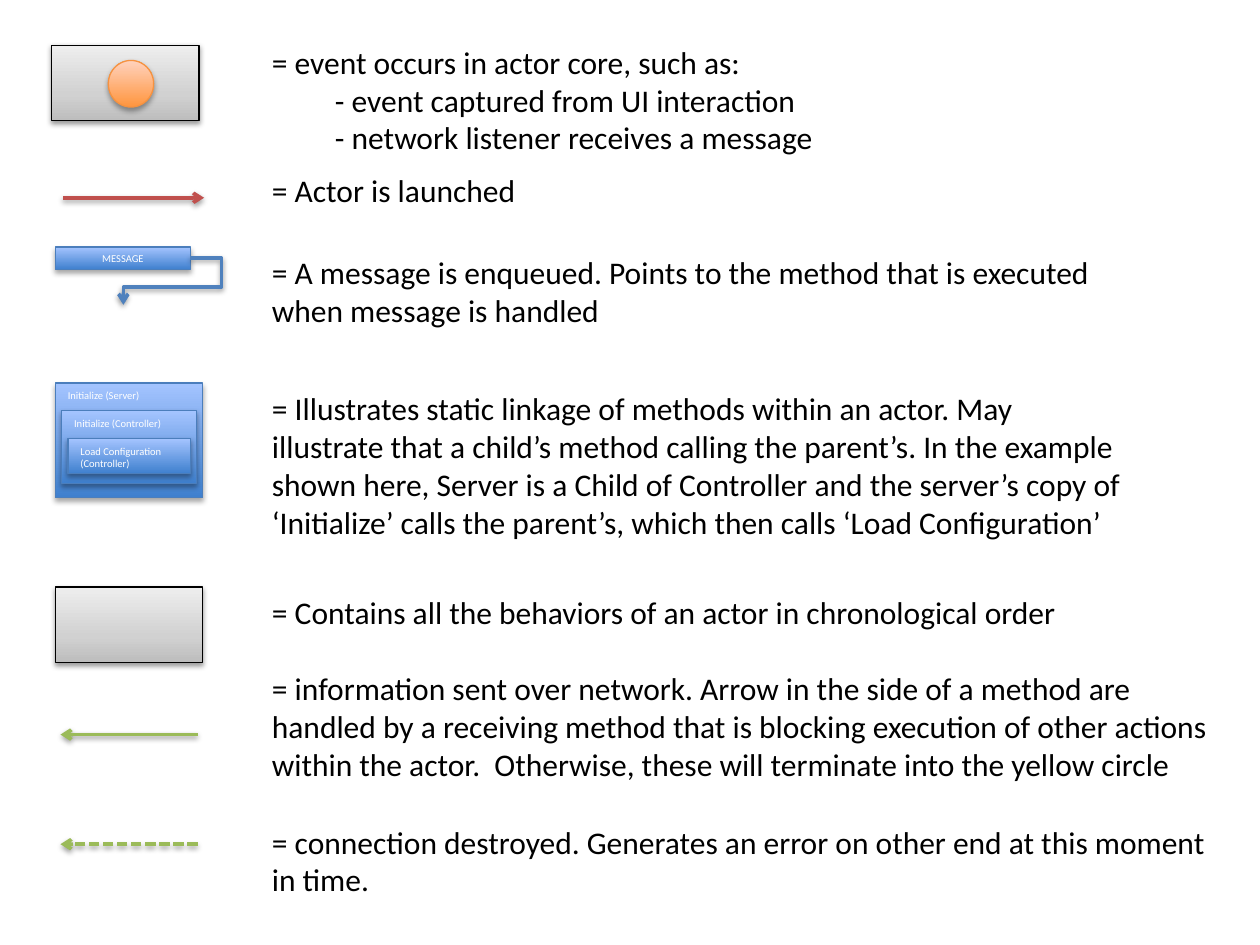
from dataclasses import dataclass
from typing import Optional

from lxml import etree
from pptx import Presentation
from pptx.dml.color import RGBColor
from pptx.enum.dml import MSO_LINE
from pptx.enum.shapes import MSO_CONNECTOR, MSO_SHAPE
from pptx.enum.text import MSO_ANCHOR, MSO_AUTO_SIZE, PP_ALIGN
from pptx.oxml.ns import qn
from pptx.util import Inches, Pt

RECTANGLE, OVAL = MSO_SHAPE.RECTANGLE, MSO_SHAPE.OVAL
STRAIGHT, ELBOW = MSO_CONNECTOR.STRAIGHT, MSO_CONNECTOR.ELBOW
TOP, MIDDLE = MSO_ANCHOR.TOP, MSO_ANCHOR.MIDDLE
LEFT, CENTER = PP_ALIGN.LEFT, PP_ALIGN.CENTER
FIT_SHAPE = MSO_AUTO_SIZE.SHAPE_TO_FIT_TEXT
DASH = MSO_LINE.SQUARE_DOT

FONT = "Calibri"
BLACK, WHITE = "000000", "FFFFFF"
RED, BLUE, GREEN = "C0504D", "4F81BD", "9BBB59"
TEXT_LEFT = 2.06
RIGHT_SIDE = 3


@dataclass(frozen=True)
class Style:
    stops: tuple[tuple[int, str], ...]
    outline: str
    shadow_alpha: int
    shadow_distance: float


@dataclass(frozen=True)
class Block:
    left: float
    top: float
    width: float
    height: float
    style: Style
    label: str = ""
    kind: int = RECTANGLE
    align: int = LEFT
    anchor: int = TOP


@dataclass(frozen=True)
class Arrow:
    start: tuple[float, float]
    end: tuple[float, float]
    color: str
    kind: int = STRAIGHT
    dash: Optional[int] = None


@dataclass(frozen=True)
class Meaning:
    top: float
    width: float
    height: float
    text: str
    wrap: bool = True


ACTOR = Style(((0, "BDBDBD"), (35, "D1D1D1"), (100, "EEEEEE")), BLACK, 38, 1.6)
EVENT = Style(((0, "FF953E"), (100, "FFD2BD")), "F69240", 35, 1.8)
METHOD = Style(((0, "3F80CE"), (100, "A4C4FF")), "4B7EBC", 35, 1.8)

MESSAGE = Block(0.44, 1.96, 1.07, 0.18, METHOD, "MESSAGE", align=CENTER, anchor=MIDDLE)
BLOCKS = (
    Block(0.41, 0.36, 1.17, 0.6, ACTOR),
    Block(0.86, 0.48, 0.36, 0.37, EVENT, kind=OVAL),
    Block(0.44, 3.04, 1.17, 0.91, METHOD, "Initialize (Server)"),
    Block(0.49, 3.26, 1.07, 0.58, METHOD, "Initialize (Controller)"),
    Block(0.54, 3.48, 0.97, 0.28, METHOD, "Load Configuration (Controller)"),
    Block(0.44, 4.66, 1.17, 0.6, ACTOR),
)
ENQUEUE = Arrow((1.52, 2.05), (0.98, 2.42), BLUE, ELBOW)
ARROWS = (
    Arrow((0.5, 1.57), (1.62, 1.57), RED),
    Arrow((1.57, 5.83), (0.48, 5.83), GREEN),
    Arrow((1.57, 6.7), (0.48, 6.7), GREEN, dash=DASH),
)
MEANINGS = (
    Meaning(0.29, 4.55, 1.01,
            "= event occurs in actor core, such as:\n"
            "\t- event captured from UI interaction\n"
            "\t- network listener receives a message", False),
    Meaning(1.31, 2.16, 0.4, "= Actor is launched", False),
    Meaning(1.96, 6.96, 0.71,
            "= A message is enqueued. Points to the method that is executed "
            "when message is handled"),
    Meaning(3.04, 6.96, 1.31,
            "= Illustrates static linkage of methods within an actor. May "
            "illustrate that a child’s method calling the parent’s. In the example "
            "shown here, Server is a Child of Controller and the server’s copy of "
            "‘Initialize’ calls the parent’s, which then calls ‘Load Configuration’"),
    Meaning(4.66, 6.51, 0.4,
            "= Contains all the behaviors of an actor in chronological order", False),
    Meaning(5.26, 7.84, 1.01,
            "= information sent over network. Arrow in the side of a method are "
            "handled by a receiving method that is blocking execution of other actions "
            "within the actor.  Otherwise, these will terminate into the yellow circle"),
    Meaning(6.48, 7.84, 0.71,
            "= connection destroyed. Generates an error on other end at this moment "
            "in time."),
)


def rgb(color: str) -> RGBColor:
    return RGBColor.from_string(color)


def child(parent, tag: str, **attributes):
    values = {name: str(value) for name, value in attributes.items()}
    return etree.SubElement(parent, qn(tag), values)


def cast_shadow(shape, alpha: int, distance: float) -> None:
    properties = shape._element.spPr
    for old in properties.findall(qn("a:effectLst")):
        properties.remove(old)
    shadow = child(child(properties, "a:effectLst"), "a:outerShdw", blurRad=Pt(3.1),
                   dist=Pt(distance), dir=90 * 60000, rotWithShape=0)
    child(child(shadow, "a:srgbClr", val=BLACK), "a:alpha", val=alpha * 1000)


def paint_gradient(shape, stops: tuple[tuple[int, str], ...]) -> None:
    shape.fill.gradient()
    shape.fill.gradient_angle = 90
    stop_list = shape._element.spPr.find(qn("a:gradFill")).find(qn("a:gsLst"))
    for old in list(stop_list):
        stop_list.remove(old)
    for position, color in stops:
        stop = child(stop_list, "a:gs", pos=position * 1000)
        child(stop, "a:srgbClr", val=color)


def write(frame, text: str, size: float, color: str, align: int = LEFT) -> None:
    frame.text = text
    for paragraph in frame.paragraphs:
        paragraph.alignment = align
        paragraph.font.name = FONT
        paragraph.font.size = Pt(size)
        paragraph.font.color.rgb = rgb(color)


def draw_block(slide, block: Block):
    shape = slide.shapes.add_shape(block.kind, Inches(block.left), Inches(block.top),
                                   Inches(block.width), Inches(block.height))
    paint_gradient(shape, block.style.stops)
    shape.line.color.rgb = rgb(block.style.outline)
    shape.line.width = Pt(0.75)
    cast_shadow(shape, block.style.shadow_alpha, block.style.shadow_distance)
    if block.label:
        shape.text_frame.word_wrap = True
        shape.text_frame.vertical_anchor = block.anchor
        write(shape.text_frame, block.label, 6, WHITE, block.align)
    return shape


def draw_arrow(slide, arrow: Arrow):
    connector = slide.shapes.add_connector(
        arrow.kind, *(Inches(value) for value in arrow.start + arrow.end))
    connector.line.color.rgb = rgb(arrow.color)
    connector.line.width = Pt(2)
    if arrow.dash is not None:
        connector.line.dash_style = arrow.dash
    child(connector.line._get_or_add_ln(), "a:tailEnd", type="arrow")
    cast_shadow(connector, 38, 1.6)
    return connector


def bend_around(connector, first: int, second: int) -> None:
    geometry = connector._element.spPr.find(qn("a:prstGeom"))
    geometry.set("prst", "bentConnector4")
    guides = geometry.find(qn("a:avLst"))
    for name, value in (("adj1", first), ("adj2", second)):
        child(guides, "a:gd", name=name, fmla=f"val {value}")


def draw_meaning(slide, meaning: Meaning) -> None:
    box = slide.shapes.add_textbox(Inches(TEXT_LEFT), Inches(meaning.top),
                                   Inches(meaning.width), Inches(meaning.height))
    box.text_frame.word_wrap = meaning.wrap
    box.text_frame.auto_size = FIT_SHAPE
    write(box.text_frame, meaning.text, 18, BLACK)


def main() -> None:
    deck = Presentation()
    deck.slide_width, deck.slide_height = Inches(10), Inches(7.5)
    slide = deck.slides.add_slide(deck.slide_layouts[6])
    for block in BLOCKS:
        draw_block(slide, block)
    for arrow in ARROWS:
        draw_arrow(slide, arrow)
    message = draw_block(slide, MESSAGE)
    enqueue = draw_arrow(slide, ENQUEUE)
    enqueue.begin_connect(message, RIGHT_SIDE)
    bend_around(enqueue, -47000, 62200)
    for meaning in MEANINGS:
        draw_meaning(slide, meaning)
    deck.save("out.pptx")


if __name__ == "__main__":
    main()
